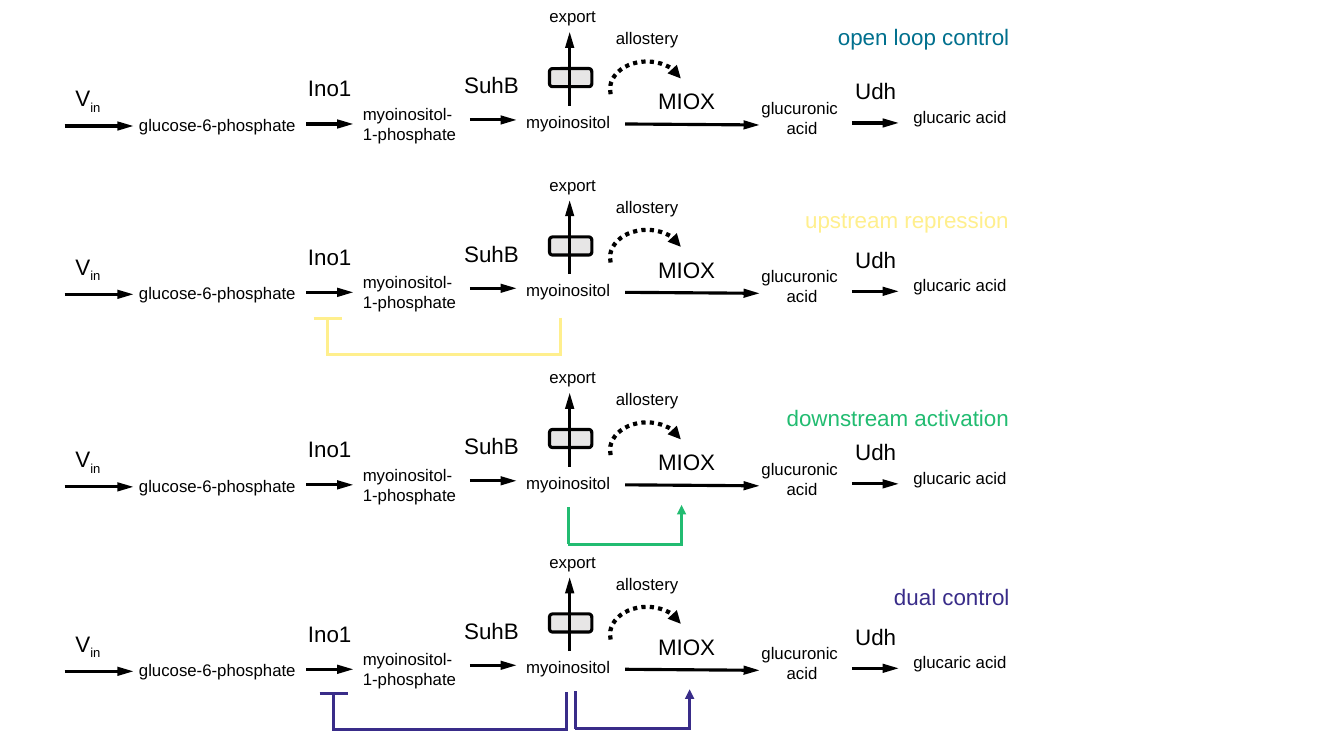
from lxml import etree
from pptx import Presentation
from pptx.dml.color import RGBColor
from pptx.enum.dml import MSO_LINE
from pptx.enum.shapes import MSO_CONNECTOR, MSO_SHAPE
from pptx.enum.text import MSO_AUTO_SIZE, PP_ALIGN
from pptx.oxml.ns import qn
from pptx.util import Inches, Pt

BLACK = RGBColor(0x00, 0x00, 0x00)
GREY = RGBColor(0xE7, 0xE6, 0xE6)
TEAL = RGBColor(0x00, 0x70, 0x8E)
YELLOW = RGBColor(0xFF, 0xEF, 0x8D)
GREEN = RGBColor(0x22, 0xBC, 0x71)
PURPLE = RGBColor(0x39, 0x2C, 0x89)
LEFT, CENTER = PP_ALIGN.LEFT, PP_ALIGN.CENTER

METABOLITES = [
    (["glucose-6-phosphate"], 1.28, 1.09, 1.77, LEFT),
    (["glucaric acid"], 8.96, 1.01, 1.13, LEFT),
    (["myoinositol"], 5.12, 1.06, 1.04, LEFT),
    (["myoinositol-", "1-phosphate"], 3.5, 0.98, 1.13, LEFT),
    (["glucuronic ", "acid"], 7.45, 0.92, 1.01, CENTER),
    (["export"], 5.35, 0.01, 0.67, LEFT),
    (["allostery"], 6.01, 0.23, 0.83, LEFT),
]
ENZYMES = [
    ("Ino1", 2.94, 0.69, 0.66),
    ("MIOX", 6.42, 0.82, 0.78),
    ("Udh", 8.38, 0.72, 0.61),
    ("SuhB", 4.5, 0.66, 0.75),
]
REACTIONS = [
    (5.65, 1.05, 5.65, 0.32),
    (3.04, 1.23, 3.5, 1.23),
    (4.66, 1.19, 5.12, 1.19),
    (0.64, 1.25, 1.32, 1.25),
    (6.2, 1.23, 7.53, 1.24),
    (8.45, 1.22, 8.91, 1.22),
]
# Each design: pathway offset, name, name top, name width, colour, feedback loops
DESIGNS = [
    (0, "open loop control", 0.18, 1.92, TEAL, []),
    (1.67, "upstream repression", 2, 2.25, YELLOW,
     [("represses", 5.56, 3.25, 3.15)]),
    (3.58, "downstream activation", 3.96, 2.43, GREEN,
     [("activates", 5.64, 6.76, 5.03)]),
    (5.41, "dual control", 5.74, 1.36, PURPLE,
     [("activates", 5.71, 6.84, 6.86), ("represses", 5.62, 3.31, 6.87)]),
]
NAME_RIGHT = 10.12
LOOP_DEPTH = 0.37
BAR_HALF = 0.14
CORNER = 0.01


def add_text(shapes, lines, x, y, w, size, color=BLACK, align=LEFT):
    """Add an unwrapped text box and return its text frame."""
    height = 0.5 if len(lines) > 1 else 0.37 if size == 16 else 0.3
    tf = shapes.add_textbox(Inches(x), Inches(y), Inches(w), Inches(height)).text_frame
    tf.word_wrap = False
    tf.auto_size = MSO_AUTO_SIZE.SHAPE_TO_FIT_TEXT
    for i, line in enumerate(lines):
        p = tf.add_paragraph() if i else tf.paragraphs[0]
        p.text = line
        p.alignment = align
        p.font.name = "Arial"
        p.font.size = Pt(size)
        p.font.color.rgb = color
    return tf


def add_arrowhead(line, length="med"):
    """Put a triangle at the end of a line."""
    etree.SubElement(line.get_or_change_to_ln() if hasattr(line, "get_or_change_to_ln")
                     else line._get_or_add_ln(), qn("a:tailEnd"),
                     type="triangle", w="med", len=length)


def add_line(shapes, x1, y1, x2, y2, color=BLACK, head=None):
    """Add a straight line, with an arrowhead of the given length if any."""
    line = shapes.add_connector(MSO_CONNECTOR.STRAIGHT, Inches(x1), Inches(y1),
                                Inches(x2), Inches(y2))
    line.line.color.rgb = color
    line.line.width = Pt(2.25)
    if head:
        add_arrowhead(line.line, head)
    etree.SubElement(line._element.spPr, qn("a:effectLst"))


def add_pathway(shapes, dy):
    """Draw the metabolic pathway shifted down by dy."""
    pump = shapes.add_shape(MSO_SHAPE.ROUNDED_RECTANGLE, Inches(5.57),
                            Inches(0.56 + dy), Inches(0.18), Inches(0.42))
    pump.rotation = 270
    pump.shadow.inherit = False
    pump.fill.solid()
    pump.fill.fore_color.rgb = GREY
    pump.line.color.rgb = BLACK
    pump.line.width = Pt(2.25)
    for lines, x, y, w, align in METABOLITES:
        add_text(shapes, lines, x, y + dy, w, 12, align=align)
    for name, x, y, w in ENZYMES:
        add_text(shapes, [name], x, y + dy, w, 16, align=CENTER)
    tf = add_text(shapes, ["V"], 0.65, 0.79 + dy, 0.46, 16)
    r = tf.paragraphs[0].add_run()
    r.text = "in"
    r._r.get_or_add_rPr().set("baseline", "-25000")
    for x1, y1, x2, y2 in REACTIONS:
        add_line(shapes, x1, y1 + dy, x2, y2 + dy, head="lg")
    arc = shapes.add_shape(MSO_SHAPE.ARC, Inches(6.14), Inches(0.52 + dy),
                           Inches(0.55), Inches(0.73))
    arc.rotation = 90
    arc.adjustments[0] = 49.245
    arc.adjustments[1] = 151.411
    arc.shadow.inherit = False
    arc.fill.background()
    arc.line.color.rgb = BLACK
    arc.line.width = Pt(3)
    arc.line.dash_style = MSO_LINE.ROUND_DOT
    add_arrowhead(arc.line)


def add_loop(shapes, effect, source, target, top, color):
    """Draw a feedback loop from the source x to the target x."""
    base = top + LOOP_DEPTH
    out = CORNER if target > source else -CORNER
    add_line(shapes, source, top, source, base, color)
    add_line(shapes, source - out, base, target + out, base, color)
    if effect == "activates":
        add_line(shapes, target, base + CORNER, target, top - 0.02, color, "med")
    else:
        bar = top + 0.01
        add_line(shapes, target, bar, target, base + CORNER, color)
        add_line(shapes, target - BAR_HALF, bar, target + BAR_HALF, bar, color)


def main():
    """Build the slide of four control designs."""
    prs = Presentation()
    prs.slide_width, prs.slide_height = Inches(13.33), Inches(7.5)
    s = prs.slides.add_slide(prs.slide_layouts[6])
    for dy, name, top, width, color, loops in DESIGNS:
        add_pathway(s.shapes.add_group_shape().shapes, dy)
        for loop in loops:
            add_loop(s.shapes, *loop, color)
        add_text(s.shapes, [name], NAME_RIGHT - width, top, width, 16, color, CENTER)
    prs.save("out.pptx")


if __name__ == "__main__":
    main()
